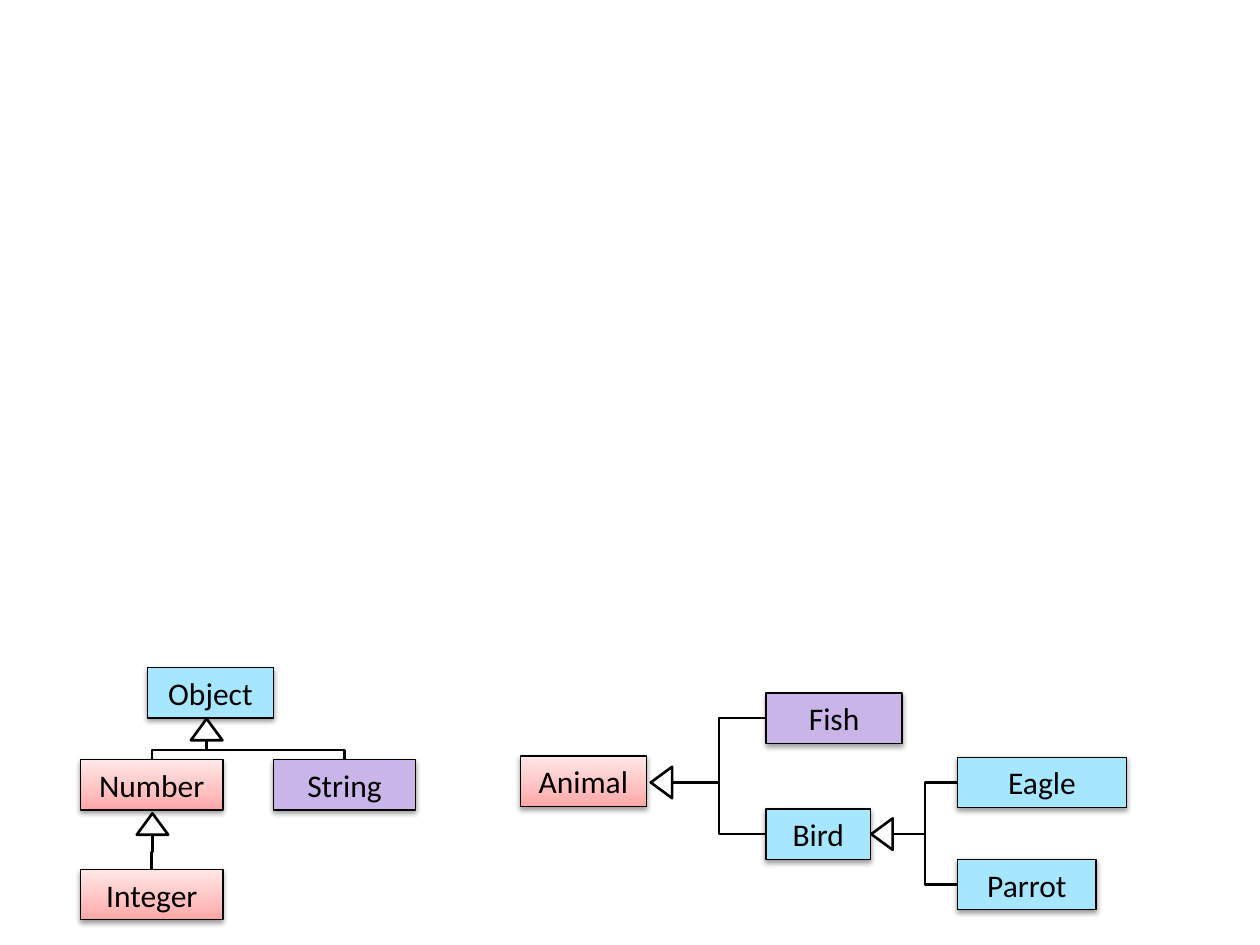
from copy import deepcopy

from lxml import etree
from pptx import Presentation
from pptx.dml.color import RGBColor
from pptx.enum import shapes, text
from pptx.oxml import ns
from pptx.util import Inches, Pt

BLACK = RGBColor(0x00, 0x00, 0x00)
WHITE = RGBColor(0xFF, 0xFF, 0xFF)
BLUE = RGBColor(0xA7, 0xE6, 0xFF)
PURPLE = RGBColor(0xC9, 0xB5, 0xE8)
PINK = [
    (0, RGBColor(0xFF, 0xA6, 0xA5)),
    (0.35, RGBColor(0xFF, 0xC0, 0xBF)),
    (1, RGBColor(0xFF, 0xE7, 0xE7)),
]
BOX_H = 0.4
TRI_W, TRI_H = 0.25, 0.17

CLASSES = [
    ("Animal", 4.13, 6, 1, PINK),
    ("Bird", 6.08, 6.42, 0.83, BLUE),
    ("Fish", 6.08, 5.5, 1.08, PURPLE),
    ("Parrot", 7.6, 6.82, 1.1, BLUE),
    ("Eagle", 7.6, 6.01, 1.34, BLUE),
    ("Object", 1.17, 5.3, 1, BLUE),
    ("Number", 0.64, 6.03, 1.13, PINK),
    ("String", 2.17, 6.03, 1.13, PURPLE),
    ("Integer", 0.64, 6.9, 1.13, PINK),
]
SIDE_TREES = [
    ((5.25, 6.21), ["Fish", "Bird"]),
    ((7, 6.62), ["Eagle", "Parrot"]),
]
DOWN_TREES = [
    ((1.64, 5.79), ["Number", "String"]),
    ((1.21, 6.54), ["Integer"]),
]


def shape(kind, x, y, w, h):
    sp = s.shapes.add_shape(kind, Inches(x), Inches(y), Inches(w), Inches(h))
    sp.shadow.inherit = False
    sp.line.color.rgb = BLACK
    return sp


def fill_gradient(fill, stops):
    fill.gradient()
    fill.gradient_angle = 90
    sp_stops = fill._xPr.find(".//" + ns.qn("a:gsLst"))
    sp_stops.insert(1, deepcopy(sp_stops[0]))
    for stop, (position, color) in zip(fill.gradient_stops, stops):
        stop.position = position
        stop.color.rgb = color


def add_shadow(sp):
    effects = sp._element.spPr.find(ns.qn("a:effectLst"))
    shadow = etree.SubElement(effects, ns.qn("a:outerShdw"), blurRad=str(Pt(3.1)),
                              dist=str(Pt(1.6)), dir="5400000", rotWithShape="0")
    color = etree.SubElement(shadow, ns.qn("a:srgbClr"), val=str(BLACK))
    etree.SubElement(color, ns.qn("a:alpha"), val="38000")


def class_box(name, x, y, w, color):
    sp = shape(shapes.MSO_SHAPE.RECTANGLE, x, y, w, BOX_H)
    sp.line.width = Pt(0.75)
    if color is PINK:
        fill_gradient(sp.fill, color)
    else:
        sp.fill.solid()
        sp.fill.fore_color.rgb = color
    add_shadow(sp)
    tf = sp.text_frame
    tf.word_wrap = True
    tf.auto_size = text.MSO_AUTO_SIZE.SHAPE_TO_FIT_TEXT
    tf.vertical_anchor = text.MSO_ANCHOR.MIDDLE
    p = tf.paragraphs[0]
    p.alignment = text.PP_ALIGN.CENTER
    r = p.add_run()
    r.text = name
    r.font.name = "Calibri"
    r.font.size = Pt(18)
    r.font.color.rgb = BLACK


def triangle(cx, cy, rotation):
    sp = shape(shapes.MSO_SHAPE.ISOSCELES_TRIANGLE, cx - TRI_W / 2, cy - TRI_H / 2, TRI_W, TRI_H)
    sp.rotation = rotation
    sp.line.width = Pt(1.5)
    sp.fill.solid()
    sp.fill.fore_color.rgb = WHITE


def elbow(x1, y1, x2, y2, vertical):
    if vertical:
        cx, cy, dx, dy = (x1 + x2) / 2, (y1 + y2) / 2, x2 - x1, y2 - y1
        x1, y1, x2, y2 = cx - dy / 2, cy + dx / 2, cx + dy / 2, cy - dx / 2
    cn = s.shapes.add_connector(shapes.MSO_CONNECTOR.ELBOW, *map(Inches, (x1, y1, x2, y2)))
    cn.line.color.rgb = BLACK
    cn.line.width = Pt(1.5)
    etree.SubElement(cn._element.spPr, ns.qn("a:effectLst"))
    if vertical:
        cn._element.spPr.find(ns.qn("a:xfrm")).set("rot", "5400000")


prs = Presentation()
prs.slide_width, prs.slide_height = Inches(10), Inches(7.5)
s = prs.slides.add_slide(prs.slide_layouts[6])

places = {}
for name, x, y, w, color in CLASSES:
    class_box(name, x, y, w, color)
    places[name] = x, y, w

for (cx, cy), children in SIDE_TREES:
    for child in children:
        x, y, w = places[child]
        elbow(cx + TRI_H / 2, cy, x, y + BOX_H / 2, False)
    triangle(cx, cy, 270)

for (cx, cy), children in DOWN_TREES:
    for child in children:
        x, y, w = places[child]
        elbow(cx, cy + TRI_H / 2, x + w / 2, y, True)
    triangle(cx, cy, 0)

prs.save("out.pptx")
